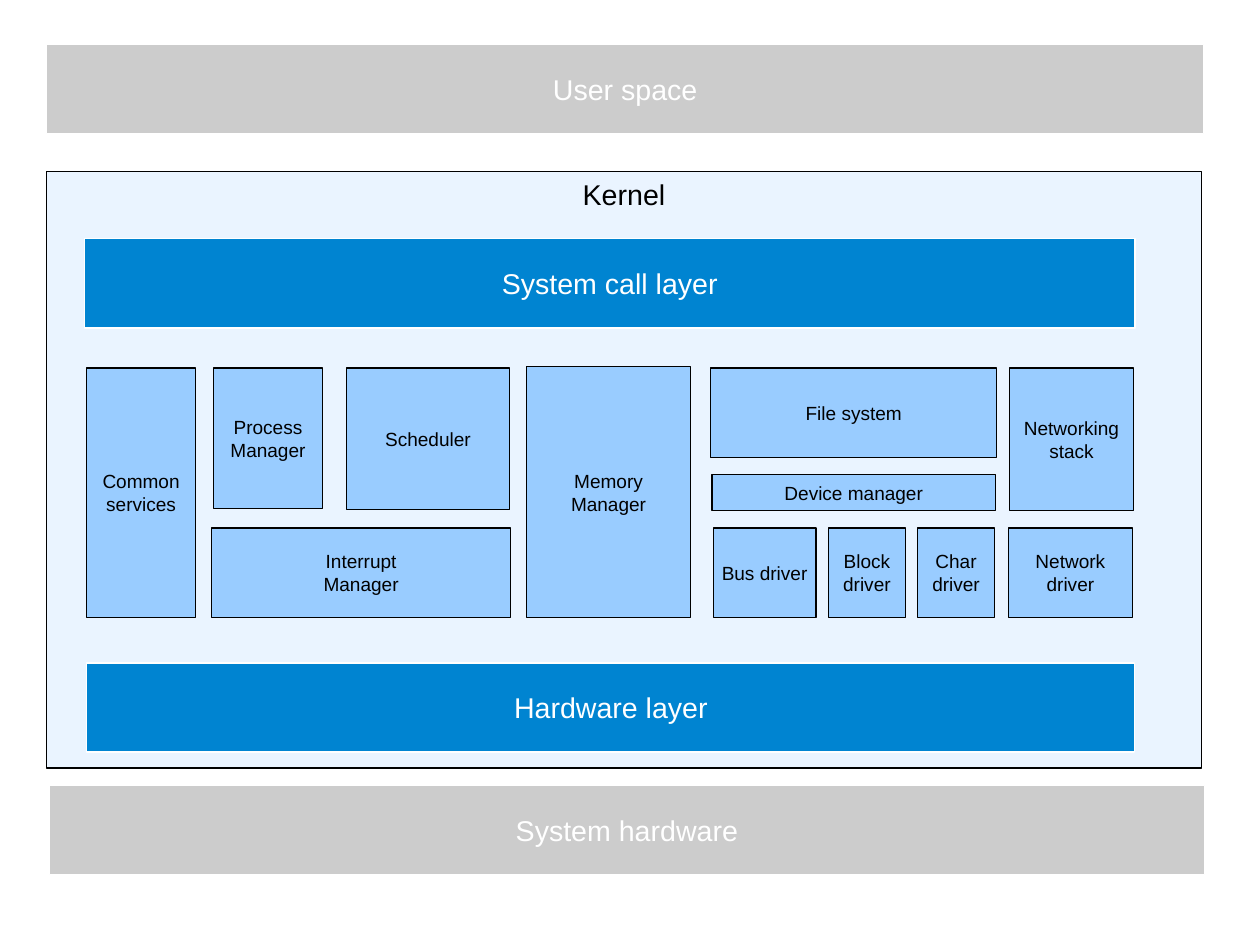
from lxml.etree import SubElement
from pptx import Presentation
from pptx.dml.color import RGBColor as RGB
from pptx.enum.shapes import MSO_SHAPE as SHAPE
from pptx.enum.text import MSO_ANCHOR as ANCHOR, PP_ALIGN as ALIGN
from pptx.oxml.ns import qn
from pptx.util import Cm, Inches, Pt

THEME = {
    "font": "Arial",
    "kernel": {"fill": "99CCFF", "line": "000000", "text": "000000", "size": 18},
    "part": {"fill": "99CCFF", "line": "000000", "text": "000000", "size": 12},
    "layer": {"fill": "0084D1", "line": "FFFFFF", "text": "FFFFFF", "size": 18},
    "outside": {"fill": "CCCCCC", "line": "FFFFFF", "text": "FFFFFF", "size": 18},
}

BAND = 0.78
COLS = {
    "user": (0.41, 10.12), "kernel": (0.41, 10.1), "hardware": (0.43, 10.11),
    "calls": (0.74, 9.19), "hw layer": (0.76, 9.17),
    "common": (0.76, 0.95), "process": (1.87, 0.95), "scheduler": (3.03, 1.43),
    "interrupt": (1.85, 2.62), "memory": (4.61, 1.43),
    "files": (6.22, 2.5), "devices": (6.23, 2.48),
    "bus": (6.24, 0.9), "block": (7.25, 0.67), "char": (8.03, 0.67),
    "net driver": (8.82, 1.09), "net stack": (8.83, 1.09),
}
ROWS = {
    "user": (0.39, BAND), "kernel": (1.5, 5.22), "calls": (2.09, BAND),
    "memory": (3.21, 2.19), "common": (3.22, 2.18),
    "process": (3.22, 1.23), "scheduler": (3.22, 1.24), "net stack": (3.22, 1.25),
    "files": (3.22, BAND), "devices": (4.15, 0.32), "drivers": (4.62, BAND),
    "hw layer": (5.8, BAND), "hardware": (6.87, BAND),
}
BOXES = [
    ("Kernel", "kernel", "kernel", "kernel"),
    ("Memory\nManager", "part", "memory", "memory"),
    ("Process\nManager", "part", "process", "process"),
    ("Scheduler", "part", "scheduler", "scheduler"),
    ("Interrupt\vManager", "part", "interrupt", "drivers"),
    ("System call layer", "layer", "calls", "calls"),
    ("Bus driver", "part", "bus", "drivers"),
    ("Block\ndriver", "part", "block", "drivers"),
    ("File system", "part", "files", "files"),
    ("Hardware layer", "layer", "hw layer", "hw layer"),
    ("Device manager", "part", "devices", "devices"),
    ("Common\nservices", "part", "common", "common"),
    ("User space", "outside", "user", "user"),
    ("System hardware", "outside", "hardware", "hardware"),
    ("Char\ndriver", "part", "char", "drivers"),
    ("Network\ndriver", "part", "net driver", "drivers"),
    ("Networking\nstack", "part", "net stack", "net stack"),
]

prs = Presentation()
prs.slide_width, prs.slide_height = Cm(28), Cm(21)
s = prs.slides.add_slide(prs.slide_layouts[6])

for text, kind, col, row in BOXES:
    style = THEME[kind]
    (x, w), (y, h) = COLS[col], ROWS[row]
    sp = s.shapes.add_shape(SHAPE.RECTANGLE, *map(Inches, (x, y, w, h)))
    sp.shadow.inherit = False
    sp.fill.solid()
    sp.fill.fore_color.rgb = RGB.from_string(style["fill"])
    sp.line.color.rgb = RGB.from_string(style["line"])
    sp.line.width = Pt(0)
    if kind == "kernel":
        color = sp.element.spPr.find(qn("a:solidFill"))[0]
        SubElement(color, qn("a:alpha"), val="20000")
    tf = sp.text_frame
    tf.text = text
    tf.word_wrap = False
    tf.vertical_anchor = ANCHOR.TOP if kind == "kernel" else ANCHOR.MIDDLE
    for p in tf.paragraphs:
        p.alignment = ALIGN.CENTER
        p.font.name = THEME["font"]
        p.font.size = Pt(style["size"])
        p.font.color.rgb = RGB.from_string(style["text"])

prs.save("out.pptx")
